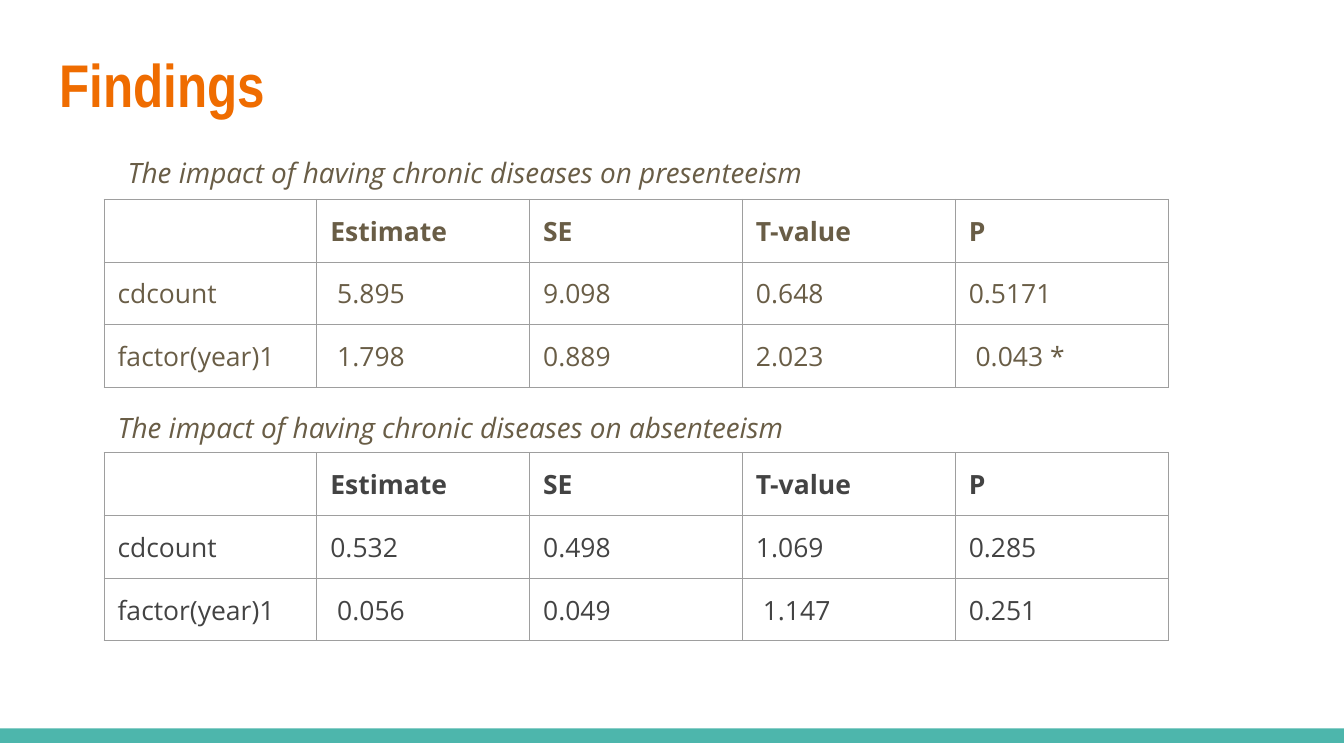
from lxml.etree import SubElement
from pptx import Presentation
from pptx.dml.color import RGBColor
from pptx.enum.shapes import MSO_SHAPE
from pptx.enum.text import MSO_ANCHOR, MSO_AUTO_SIZE
from pptx.oxml.ns import qn
from pptx.util import Inches, Pt

COLORS = {
    "title": "EF6C00",
    "brown": "695D46",
    "dark": "434343",
    "line": "9E9E9E",
    "band": "4DB6AC",
}
BODY = "Open Sans"
PAD = Inches(0.12)
LEFT, COL, ROW = 0.93, 1.9, 0.56

HEAD = ["", "Estimate", "SE", "T-value", "P"]
PRESENT = [
    HEAD,
    ["cdcount", " 5.895", "9.098", "0.648", "0.5171"],
    ["factor(year)1", " 1.798", "0.889", "2.023", " 0.043 *"],
]
ABSENT = [
    HEAD,
    ["cdcount", "0.532", "0.498", "1.069", "0.285"],
    ["factor(year)1", " 0.056", "0.049", " 1.147", "0.251"],
]


def color(name):
    return RGBColor.from_string(COLORS[name])


def pad(box):
    box.margin_left = box.margin_right = PAD
    box.margin_top = box.margin_bottom = PAD


def add_run(para, text, size, tint, face=BODY, bold=False, italic=False):
    run = para.add_run()
    run.text = text
    font = run.font
    font.name, font.size = face, Pt(size)
    font.bold, font.italic = bold, italic
    font.color.rgb = color(tint)


def add_box(slide, left, top, width, height):
    shape = slide.shapes.add_textbox(
        Inches(left), Inches(top), Inches(width), Inches(height))
    frame = shape.text_frame
    frame.word_wrap = True
    pad(frame)
    return frame


def add_title(slide, text):
    frame = add_box(slide, 0.41, 0.28, 11.18, 0.91)
    frame.vertical_anchor = MSO_ANCHOR.BOTTOM
    add_run(frame.paragraphs[0], text, 38.7, "title", "Arial Narrow", bold=True)


def add_caption(slide, left, top, text):
    frame = add_box(slide, left, top, 9.06, 0.54)
    frame.auto_size = MSO_AUTO_SIZE.SHAPE_TO_FIT_TEXT
    para = frame.paragraphs[0]
    para.line_spacing = 1.15
    para.space_after = Pt(14)
    add_run(para, text, 18, "brown", italic=True)


def add_border(cell):
    props = cell._tc.get_or_add_tcPr()
    for index, side in enumerate(("lnL", "lnR", "lnT", "lnB")):
        line = props.makeelement(qn(f"a:{side}"), {"w": str(Pt(0.75))})
        fill = SubElement(line, qn("a:solidFill"))
        SubElement(fill, qn("a:srgbClr"), val=COLORS["line"])
        props.insert(index, line)


def add_grid(slide, top, rows, tint):
    count, width = len(rows), len(rows[0])
    table = slide.shapes.add_table(
        count, width, Inches(LEFT), Inches(top),
        Inches(COL * width), Inches(ROW * count)).table
    table.first_row = table.horz_banding = False
    for column in table.columns:
        column.width = Inches(COL)
    for r, row in enumerate(rows):
        table.rows[r].height = Inches(ROW)
        for c, text in enumerate(row):
            cell = table.cell(r, c)
            pad(cell)
            cell.fill.background()
            add_border(cell)
            para = cell.text_frame.paragraphs[0]
            para.font.size = Pt(17)
            if text:
                add_run(para, text, 17, tint, bold=r == 0)


def add_band(slide):
    band = slide.shapes.add_shape(
        MSO_SHAPE.RECTANGLE, 0, Inches(6.5), Inches(12), Inches(0.13))
    band.shadow.inherit = False
    band.fill.solid()
    band.fill.fore_color.rgb = color("band")
    band.line.fill.background()


def main():
    deck = Presentation()
    deck.slide_width, deck.slide_height = Inches(12), Inches(6.63)
    slide = deck.slides.add_slide(deck.slide_layouts[6])

    # Frame of the slide
    add_band(slide)
    add_title(slide, "Findings")

    # Results with their captions
    add_grid(slide, 4.04, ABSENT, "dark")
    add_grid(slide, 1.78, PRESENT, "brown")
    add_caption(slide, 1.02, 1.22,
                "The impact of having chronic diseases on presenteeism")
    add_caption(slide, LEFT, 3.5,
                "The impact of having chronic diseases on absenteeism")

    deck.save("out.pptx")


if __name__ == "__main__":
    main()
